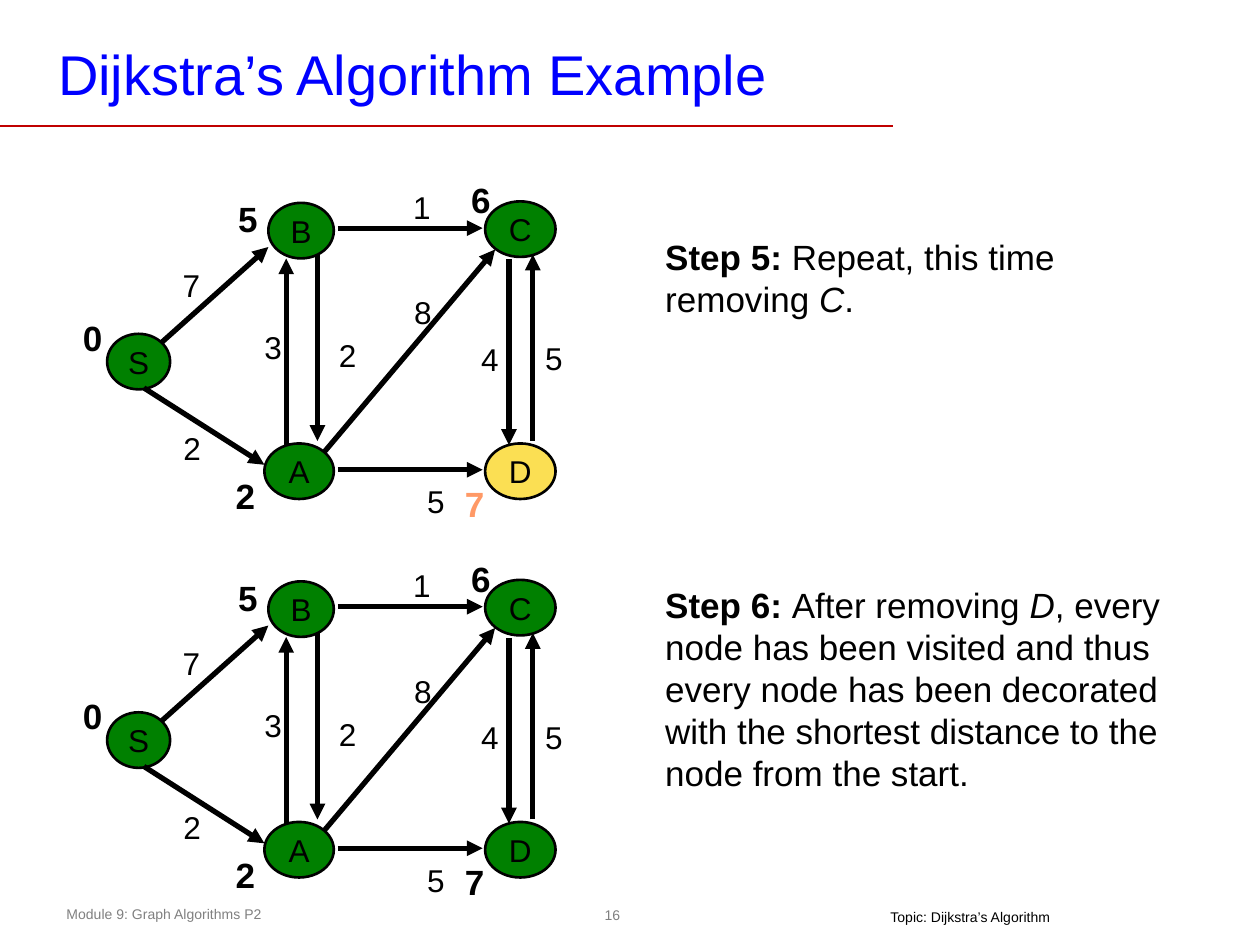
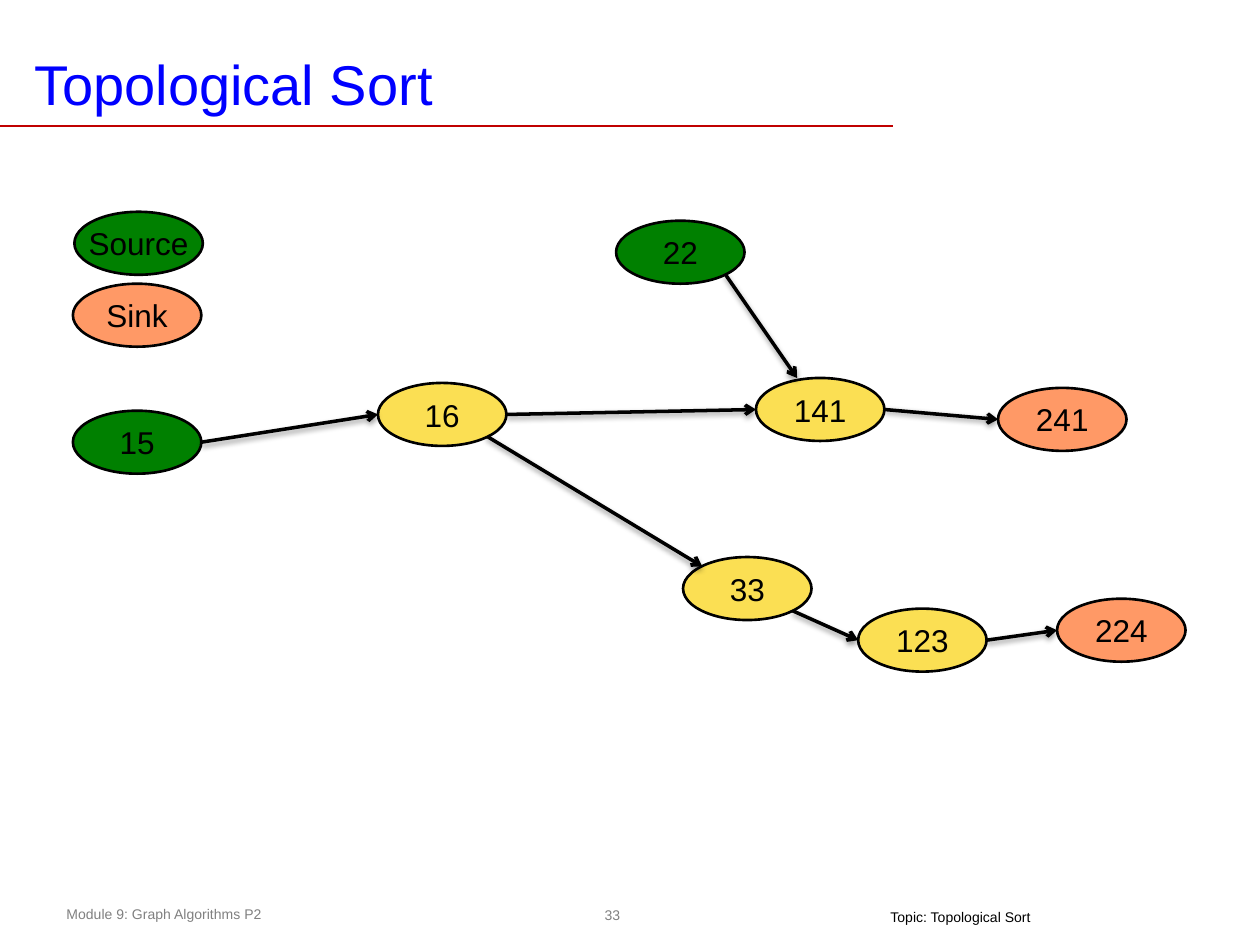
"""Build two slides: Dijkstra's algorithm steps and a topological sort."""
import pptx
import pptx.util
import pptx.dml.color
import pptx.enum.shapes
import pptx.enum.text
import pptx.oxml
import pptx.oxml.ns
from pptx.util import Cm, Pt

FONT = "Arial"
COLOURS = {"title": "0000FF", "rule": "C00000", "ink": "000000", "muted": "808080",
           "done": "008000", "open": "FBDF53", "sink": "FF9966"}
MODULE = "Module 9: Graph Algorithms P2"

DIJKSTRA = {"title": "Dijkstra’s Algorithm Example", "title_at": (0.99, 0.71),
            "number": "16", "topic": "Topic: Dijkstra’s Algorithm", "topic_width": 3.76}
TOPOLOGICAL = {"title": "Topological Sort", "title_at": (0.51, 0.91),
               "number": "33", "topic": "Topic: Topological Sort", "topic_width": 3.4}

STEPS = [
    {"drop": 0, "unvisited": "D", "text_box": (13.16, 4.62, 10.97, 1.96),
     "runs": [("Step 5: ", "b"), ("Repeat, this time removing ", ""), ("C", "i"), (".", "")]},
    {"drop": 7.63, "unvisited": "", "text_box": (13.16, 11.63, 10.97, 4.52),
     "runs": [("Step 6: ", "b"), ("After removing ", ""), ("D", "i"),
              (", every node has been visited and thus every node has been decorated "
               "with the shortest distance to the node from the start.", "")]},
]
VERTEX_HEIGHT = 1.12
VERTICES = [
    ("S", (2.16, 6.73, 1.27), "0", (1.42, 6.25, 0.76)),
    ("B", (5.41, 4.09, 1.32), "5", (4.55, 3.86, 1.09)),
    ("A", (5.33, 8.94, 1.4), "2", (4.5, 9.45, 1.09)),
    ("D", (9.78, 8.94, 1.42), "7", (9.12, 9.6, 1.09)),
    ("C", (9.78, 4.06, 1.42), "6", (9.25, 3.48, 0.94)),
]
WEIGHT_SIZE = (0.86, 0.98)
EDGES = [
    ("7", (3.43, 5.23), (3.25, 6.91), (5.41, 4.98)),
    ("2", (3.45, 8.53), (2.9, 7.82), (5.33, 9.37)),
    ("1", (8.08, 3.66), (6.81, 4.6), (9.73, 4.6)),
    ("5", (8.36, 9.6), (6.81, 9.47), (9.73, 9.47)),
    ("8", (8.1, 5.79), (6.53, 9.12), (9.98, 5.03)),
    ("5", (10.74, 6.71), (10.74, 8.89), (10.74, 5.13)),
    ("3", (5.08, 6.48), (5.77, 8.97), (5.77, 5.21)),
    ("2", (6.58, 6.65), (6.4, 5.13), (6.4, 8.89)),
    ("4", (9.45, 6.73), (10.26, 5.23), (10.26, 8.97)),
]

TASK_SIZE = (2.59, 1.27)
TASKS = {
    "33": (13.77, 11.23, "open"), "16": (7.62, 7.72, "open"), "15": (1.47, 8.28, "done"),
    "123": (17.3, 12.27, "open"), "224": (21.31, 12.07, "sink"),
    "141": (15.24, 7.62, "open"), "241": (20.12, 7.82, "sink"),
    "22": (12.42, 4.45, "done"), "Sink": (1.47, 5.72, "sink"), "Source": (1.5, 4.27, "done"),
}
SITES = {"left": (0, 0.5), "right": (1, 0.5), "top": (0.32, 0),
         "top left": (0.15, 0.15), "bottom right": (0.85, 0.85)}
PRECEDENCES = [
    ("15", "right", "16", "left"), ("16", "bottom right", "33", "top left"),
    ("123", "right", "224", "left"), ("33", "bottom right", "123", "left"),
    ("141", "right", "241", "left"), ("16", "right", "141", "left"),
    ("22", "bottom right", "141", "top"),
]
SHADOW = ('<a:outerShdw blurRad="40000" dist="20000" dir="5400000" rotWithShape="0">'
          '<a:srgbClr val="000000"><a:alpha val="38000"/></a:srgbClr></a:outerShdw>')


def colour(name):
    return pptx.dml.color.RGBColor.from_string(COLOURS[name])


def format_runs(frame, size, ink="ink", bold=False):
    for run in frame.paragraphs[0].runs:
        run.font.name, run.font.size = FONT, Pt(size)
        run.font.color.rgb = colour(ink)
        if bold:
            run.font.bold = True


def set_insets(frame, left, top, right, bottom):
    frame.margin_left, frame.margin_top = Cm(left), Cm(top)
    frame.margin_right, frame.margin_bottom = Cm(right), Cm(bottom)


def add_text(shapes, box, text, size, ink="ink", bold=False, wrap=True):
    frame = shapes.add_textbox(*map(Cm, box)).text_frame
    frame.word_wrap = wrap
    frame.text = text
    format_runs(frame, size, ink, bold)
    return frame


def add_ellipse(shapes, box, text, size=18, ink="ink", fill=None):
    ellipse = shapes.add_shape(pptx.enum.shapes.MSO_SHAPE.OVAL, *map(Cm, box))
    ellipse.shadow.inherit = False
    if fill:
        ellipse.fill.solid()
        ellipse.fill.fore_color.rgb = colour(fill)
        ellipse.line.color.rgb = colour("ink")
        ellipse.line.width = Pt(1.5)
    else:
        ellipse.fill.background()
        ellipse.line.fill.background()
    frame = ellipse.text_frame
    frame.word_wrap = False
    frame.vertical_anchor = pptx.enum.text.MSO_ANCHOR.MIDDLE
    frame.text = text
    frame.paragraphs[0].alignment = pptx.enum.text.PP_ALIGN.CENTER
    format_runs(frame, size, ink)
    return frame


def add_line(shapes, start, end, width, ink="ink", head=None, effect=""):
    line = shapes.add_connector(pptx.enum.shapes.MSO_CONNECTOR.STRAIGHT,
                                *map(Cm, (*start, *end)))
    line.line.color.rgb = colour(ink)
    line.line.width = Pt(width)
    namespace = pptx.oxml.ns.nsdecls("a")
    if head:
        line.line._get_or_add_ln().append(
            pptx.oxml.parse_xml(f'<a:tailEnd {namespace} type="{head}"/>'))
    line._element.spPr.append(
        pptx.oxml.parse_xml(f"<a:effectLst {namespace}>{effect}</a:effectLst>"))


def add_slide(deck, content):
    slide = deck.slides.add_slide(deck.slide_layouts[5])
    shapes = slide.shapes
    number = add_ellipse(shapes, (12.04, 18.11, 0.61, 0.66), content["number"], 8, "muted")
    set_insets(number, 0.1, 0.1, 0.1, 0.1)
    add_text(shapes, (1.09, 18.14, 9.25, 0.61), MODULE, 8, "muted")
    add_line(shapes, (0, 2.54), (18.01, 2.54), 1, "rule")
    topic = add_text(shapes, (17.7, 18.31, content["topic_width"], 0.43),
                     content["topic"], 8, wrap=False)
    set_insets(topic, 0.25, 0, 0.25, 0.1)

    title = shapes.title
    title.left, title.top = map(Cm, content["title_at"])
    title.width, title.height = Cm(18.85), Cm(1.52)
    frame = title.text_frame
    frame.text = content["title"]
    frame.vertical_anchor = pptx.enum.text.MSO_ANCHOR.MIDDLE
    frame.paragraphs[0].alignment = pptx.enum.text.PP_ALIGN.LEFT
    set_insets(frame, 0.18, 0.08, 0.18, 0.08)
    format_runs(frame, 32, "title")
    return slide


def add_step(shapes, step):
    explanation = add_text(shapes, step["text_box"], "", 20)
    for text, style in step["runs"]:
        run = explanation.paragraphs[0].add_run()
        run.text = text
        run.font.bold, run.font.italic = style == "b", style == "i"
    format_runs(explanation, 20)

    graph = shapes.add_group_shape().shapes
    drop = step["drop"]
    for name, (left, top, width), _, _ in VERTICES:
        add_ellipse(graph, (left, top + drop, width, VERTEX_HEIGHT), name,
                    fill="open" if name == step["unvisited"] else "done")
    for weight, (left, top), (x1, y1), (x2, y2) in EDGES:
        add_line(graph, (x1, y1 + drop), (x2, y2 + drop), 3, head="triangle")
        add_text(graph, (left, top + drop, *WEIGHT_SIZE), weight, 18, wrap=False)
    for name, _, distance, (left, top, width) in VERTICES:
        add_text(graph, (left, top + drop, width, VERTEX_HEIGHT), distance, 20,
                 "sink" if name == step["unvisited"] else "ink", bold=True)


def site_of(task, site):
    return [start + share * size
            for start, share, size in zip(TASKS[task][:2], SITES[site], TASK_SIZE)]


def main():
    deck = pptx.Presentation()
    deck.slide_width, deck.slide_height = Cm(25.4), Cm(19.05)

    dijkstra = add_slide(deck, DIJKSTRA)
    for step in STEPS:
        add_step(dijkstra.shapes, step)

    topological = add_slide(deck, TOPOLOGICAL)
    for task, (left, top, fill) in TASKS.items():
        add_ellipse(topological.shapes, (left, top, *TASK_SIZE), task, fill=fill)
    for before, leaving, after, entering in PRECEDENCES:
        add_line(topological.shapes, site_of(before, leaving), site_of(after, entering), 2,
                 head="arrow", effect=SHADOW)

    deck.save("out.pptx")


if __name__ == "__main__":
    main()
